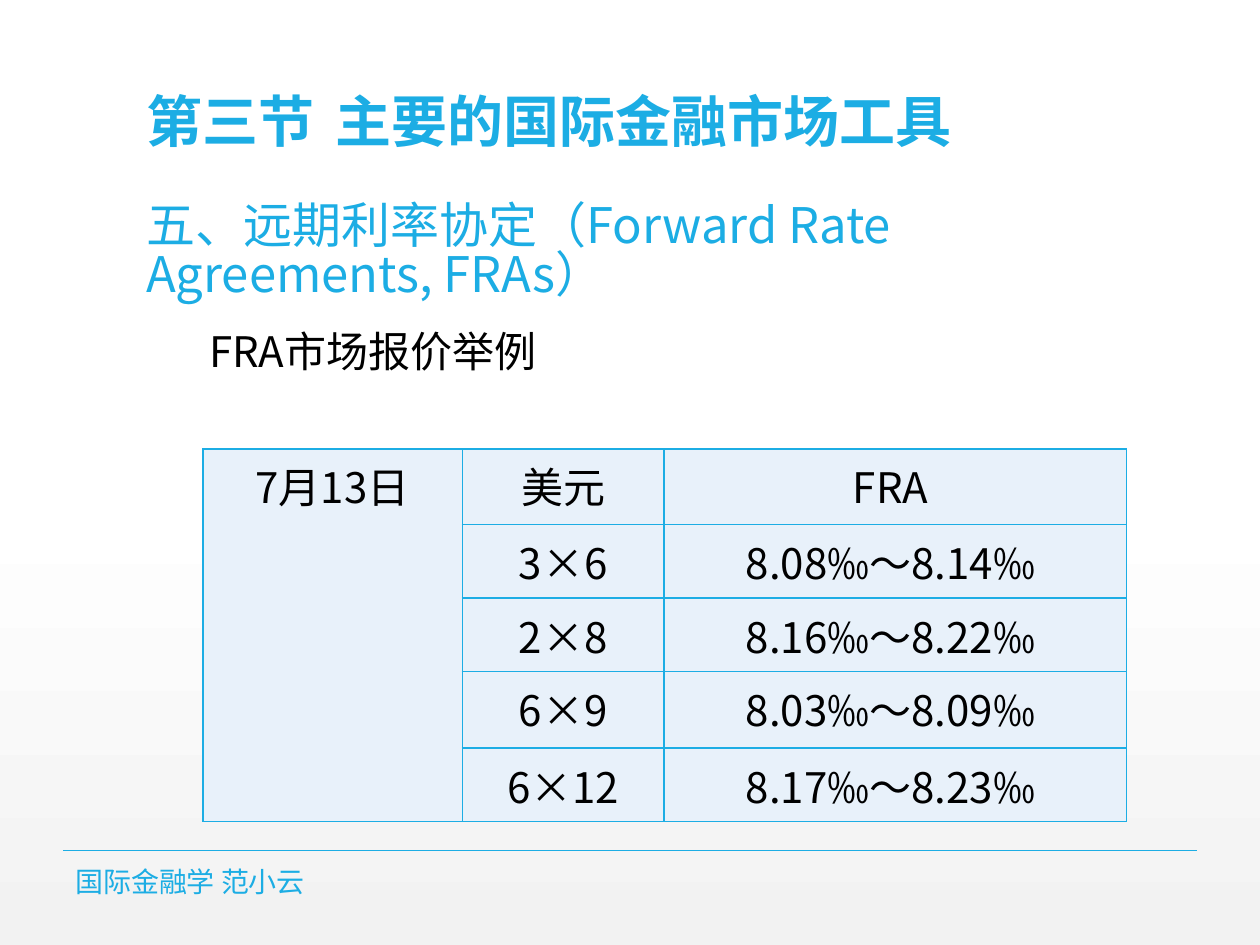
from dataclasses import dataclass

import pptx
import pptx.dml.color
import pptx.enum.text
import pptx.oxml
import pptx.oxml.ns
import pptx.util
from lxml import etree

ALIGN = pptx.enum.text.PP_ALIGN
ANCHOR = pptx.enum.text.MSO_ANCHOR
qn = pptx.oxml.ns.qn


@dataclass(frozen=True)
class Theme:
    accent: str = "1CADE4"
    ink: str = "000000"
    cell: str = "E8F1FA"
    top: str = "FFFFFF"
    bottom: str = "F2F2F2"
    heading_font: str = "Arial"
    text_font: str = "Noto Sans CJK SC"
    title: int = 32
    topic: int = 28
    text: int = 24
    footer: int = 16
    rule: int = 1


def rgb(value):
    return pptx.dml.color.RGBColor.from_string(value)


class Deck:
    """Holds the theme and the current slide; places are shares of the slide."""

    def __init__(self, theme, width=10, height=7.5):
        self.theme = theme
        self.file = pptx.Presentation()
        self.file.slide_width = pptx.util.Inches(width)
        self.file.slide_height = pptx.util.Inches(height)

    def x(self, share):
        return round(self.file.slide_width * share)

    def y(self, share):
        return round(self.file.slide_height * share)

    def box(self, left, top, width, height):
        return self.x(left), self.y(top), self.x(width), self.y(height)

    def add_slide(self):
        self.slide = self.file.slides.add_slide(self.file.slide_layouts[1])
        fill = self.slide.background.fill
        fill.gradient()
        fill.gradient_angle = 270
        stops = zip(fill.gradient_stops, (0.53, 1), (self.theme.top, self.theme.bottom))
        for stop, position, color in stops:
            stop.position = position
            stop.color.rgb = rgb(color)

    def style(self, paragraph, size, color, font=None, bold=False, align=ALIGN.LEFT):
        paragraph.alignment = align
        face = paragraph.font
        face.size = pptx.util.Pt(size)
        face.color.rgb = rgb(color)
        face.bold = bold
        face.name = font or self.theme.text_font
        # East Asian text takes the text font
        latin = paragraph._p.pPr.find(qn("a:defRPr")).find(qn("a:latin"))
        east_asian = etree.Element(qn("a:ea"), typeface=self.theme.text_font)
        latin.addnext(east_asian)

    def place(self, shape, box, anchor):
        shape.left, shape.top, shape.width, shape.height = self.box(*box)
        frame = shape.text_frame
        frame.word_wrap = True
        frame.auto_size = pptx.enum.text.MSO_AUTO_SIZE.NONE
        frame.vertical_anchor = anchor
        return frame

    def title(self, text, box):
        frame = self.place(self.slide.shapes.title, box, ANCHOR.BOTTOM)
        heading = frame.paragraphs[0]
        heading.text = text
        heading.line_spacing = 0.9
        self.style(heading, self.theme.title, self.theme.accent,
                   self.theme.heading_font, bold=True)

    def body(self, topic, subtopic, box):
        frame = self.place(self.slide.placeholders[1], box, ANCHOR.TOP)
        levels = (
            (topic, 0, self.theme.topic, self.theme.accent),
            (subtopic, 0.5, self.theme.text, self.theme.ink),
        )
        for level, (text, indent, size, color) in enumerate(levels):
            line = frame.add_paragraph() if level else frame.paragraphs[0]
            line.text = text
            line.level = level
            line.line_spacing = 0.83
            line.space_before = pptx.util.Pt(18 if level else 0)
            properties = line._p.get_or_add_pPr()
            properties.set("marL", str(pptx.util.Inches(indent)))
            properties.set("indent", "0")
            etree.SubElement(properties, qn("a:buNone"))
            self.style(line, size, color)

    def footer(self, text, box):
        frame = self.place(self.slide.shapes.add_textbox(0, 0, 0, 0), box, ANCHOR.MIDDLE)
        frame.paragraphs[0].text = text
        self.style(frame.paragraphs[0], self.theme.footer, self.theme.accent)

    def rule(self, left, right, height):
        line = self.slide.shapes.add_connector(
            1, self.x(left), self.y(height), self.x(right), self.y(height))
        line.line.color.rgb = rgb(self.theme.accent)
        line.line.width = pptx.util.Pt(self.theme.rule)
        etree.SubElement(line._element.spPr, qn("a:effectLst"))

    def borders(self, cell):
        properties = cell._tc.get_or_add_tcPr()
        for index, side in enumerate(("lnL", "lnR", "lnT", "lnB")):
            properties.insert(index, pptx.oxml.parse_xml(
                f'<a:{side} xmlns:a="http://schemas.openxmlformats.org/drawingml/2006/main"'
                f' w="{pptx.util.Pt(self.theme.rule)}"><a:solidFill>'
                f'<a:srgbClr val="{self.theme.accent}"/></a:solidFill></a:{side}>'))

    def table(self, date, quotes, left, top, widths, heights):
        table = self.slide.shapes.add_table(
            len(heights), len(widths),
            *self.box(left, top, sum(widths), sum(heights))).table
        for column, width in zip(table.columns, widths):
            column.width = self.x(width)
        for row, height in zip(table.rows, heights):
            row.height = self.y(height)
        # The date spans every row of the first column
        table.cell(0, 0).merge(table.cell(len(heights) - 1, 0))
        table.cell(0, 0).text = date
        for row, quote in enumerate(quotes):
            for column, text in enumerate(quote, start=1):
                table.cell(row, column).text = text
        for cell in table.iter_cells():
            cell.fill.solid()
            cell.fill.fore_color.rgb = rgb(self.theme.cell)
            self.borders(cell)
            self.style(cell.text_frame.paragraphs[0], self.theme.text,
                       self.theme.ink, align=ALIGN.CENTER)


def main():
    deck = Deck(Theme())
    deck.add_slide()

    # Section heading and topic
    deck.title("第三节\t主要的国际金融市场工具", (0.106, 0.003, 0.788, 0.167))
    deck.body("五、远期利率协定（Forward Rate Agreements, FRAs）",
              "FRA市场报价举例", (0.106, 0.21, 0.788, 0.71))

    # Market quotes
    quotes = (
        ("美元", "FRA "),
        ("3×6", "8.08‰～8.14‰ "),
        ("2×8", "8.16‰～8.22‰ "),
        ("6×9", "8.03‰～8.09‰ "),
        ("6×12", "8.17‰～8.23‰ "),
    )
    deck.table("7月13日", quotes, 0.161, 0.475, (0.206, 0.16, 0.367),
               (0.08, 0.075, 0.075, 0.081, 0.075))

    # Footer
    deck.rule(0.05, 0.95, 0.9)
    deck.footer("国际金融学 范小云", (0.05, 0.917, 0.553, 0.032))

    deck.file.save("out.pptx")


if __name__ == "__main__":
    main()
